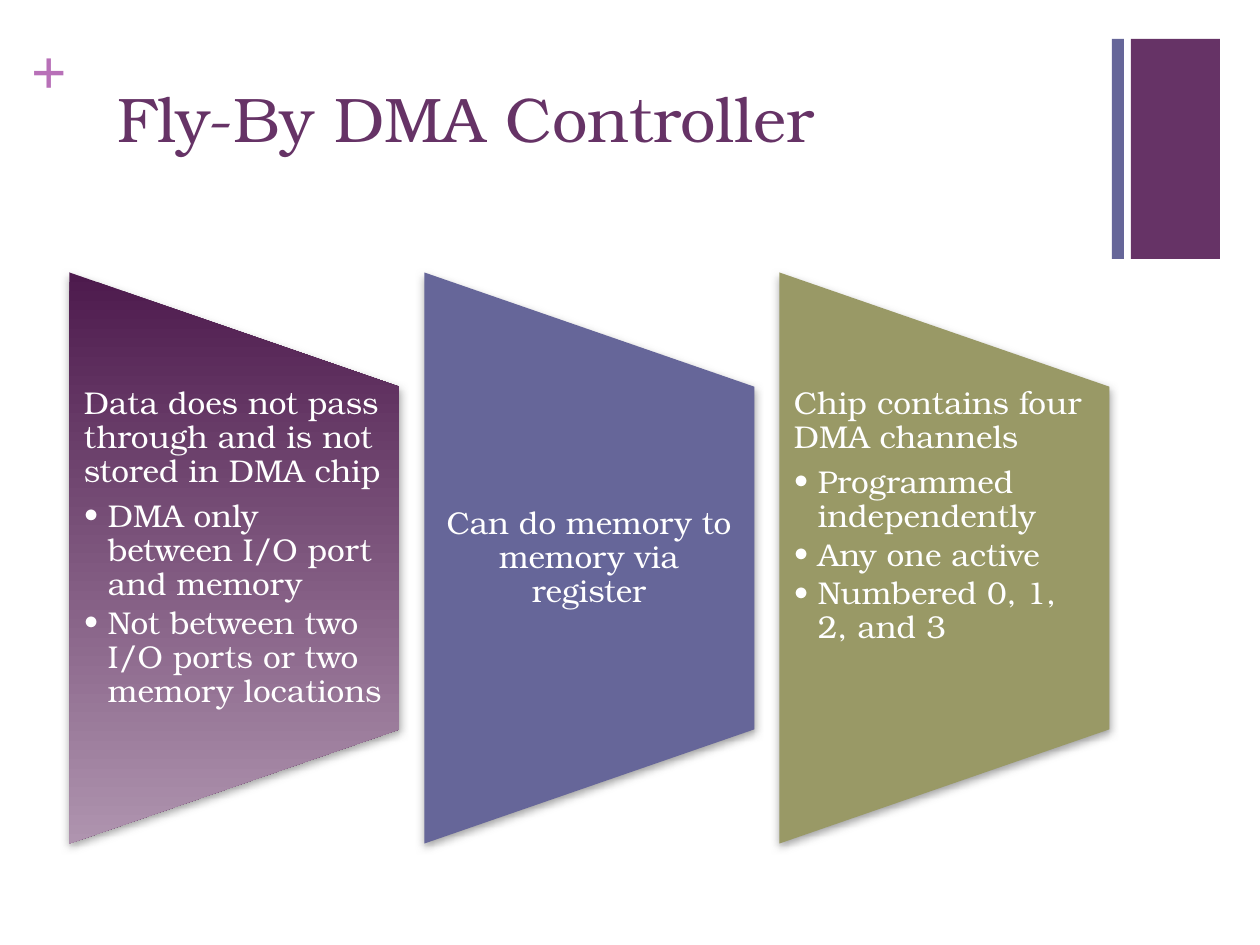
"""Build the Fly-By DMA Controller slide."""
import dataclasses

import lxml.etree
import pptx
import pptx.dml.color
import pptx.enum.shapes
import pptx.enum.text
import pptx.oxml.ns
import pptx.util

SCALE = 914400 / 126
SHAPE = pptx.enum.shapes.MSO_SHAPE
ALIGN = pptx.enum.text.PP_ALIGN
ANCHOR = pptx.enum.text.MSO_ANCHOR
qn = pptx.oxml.ns.qn


@dataclasses.dataclass(frozen=True)
class Theme:
    plum: str = "663366"
    slate: str = "666699"
    olive: str = "999966"
    orchid: str = "B870B8"
    white: str = "FFFFFF"
    shade: str = "808080"
    fade: tuple[str, str] = ("4D1A4D", "AF94AF")
    font: str = "TeX Gyre Bonum"
    serif: str = "Times New Roman"
    large: int = 36
    body: int = 18


@dataclasses.dataclass(frozen=True)
class Box:
    left: int
    top: int
    width: int
    height: int


@dataclasses.dataclass(frozen=True)
class Panel:
    fills: tuple[str, ...]
    head: str
    items: tuple[str, ...] = ()


THEME = Theme()
PANELS = (
    Panel(THEME.fade, "Data does not pass through and is not stored in DMA chip",
          ("DMA only between I/O port and memory",
           "Not between two I/O ports or two memory locations")),
    Panel((THEME.slate,), "Can do memory to memory via register"),
    Panel((THEME.olive,), "Chip contains four DMA channels",
          ("Programmed independently", "Any one active", "Numbered 0, 1, 2, and 3")),
)
FIRST = Box(69, 273, 330, 571)
PITCH = 355
INSET = 114


def px(size: float) -> pptx.util.Emu:
    """Turn pixels into EMU."""
    return pptx.util.Emu(round(size * SCALE))


def rgb(code: str) -> pptx.dml.color.RGBColor:
    """Turn a hex code into a colour."""
    return pptx.dml.color.RGBColor.from_string(code)


def place(box: Box) -> tuple[pptx.util.Emu, ...]:
    """Give the four lengths of a box in EMU."""
    return tuple(px(size) for size in dataclasses.astuple(box))


def add_shape(slide, kind, box: Box, fills: tuple[str, ...]):
    """Draw a shape with a plain fill or an upright gradient."""
    shape = slide.shapes.add_shape(kind, *place(box))
    shape.shadow.inherit = False
    shape.line.fill.background()
    if len(fills) == 1:
        shape.fill.solid()
        shape.fill.fore_color.rgb = rgb(fills[0])
        return shape
    shape.fill.gradient()
    shape.fill.gradient_angle = 270
    for stop, code, spot in zip(shape.fill.gradient_stops, fills, (0, 1)):
        stop.color.rgb = rgb(code)
        stop.position = spot
    shape._element.spPr.find(qn("a:gradFill")).set("rotWithShape", "0")
    return shape


def add_shadow(shape) -> None:
    """Give a shape a soft shadow below it."""
    effects = shape._element.spPr.find(qn("a:effectLst"))
    outer = lxml.etree.SubElement(
        effects, qn("a:outerShdw"), blurRad=str(pptx.util.Pt(5)),
        dist=str(pptx.util.Pt(2)), dir="5400000", rotWithShape="0")
    color = lxml.etree.SubElement(outer, qn("a:srgbClr"), val=THEME.shade)
    lxml.etree.SubElement(color, qn("a:alpha"), val="75000")


def add_text(slide, box: Box, lines: tuple[str, ...], font: str, size: int,
             color: str, inset: tuple[int, int], bold: bool = False):
    """Write lines into a text box and return its frame."""
    frame = slide.shapes.add_textbox(*place(box)).text_frame
    frame.word_wrap = True
    frame.margin_left = frame.margin_right = px(inset[0])
    frame.margin_top = frame.margin_bottom = px(inset[1])
    frame.text = "\n".join(lines)
    for para in frame.paragraphs:
        for run in para.runs:
            run.font.name = font
            run.font.size = pptx.util.Pt(size)
            run.font.color.rgb = rgb(color)
            run.font.bold = bold
    return frame


def add_bullet(para) -> None:
    """Set a paragraph as a hanging bullet."""
    para.level = 1
    props = para._p.get_or_add_pPr()
    props.set("marL", str(px(24)))
    props.set("indent", str(-px(24)))
    lxml.etree.SubElement(props, qn("a:buFont"), typeface=THEME.font)
    lxml.etree.SubElement(props, qn("a:buChar"), char="•")


def add_panel(slide, panel: Panel, left: int) -> None:
    """Draw a panel on its side with its text."""
    wide, tall = FIRST.width, FIRST.height
    shift = (tall - wide) // 2
    shape = add_shape(slide, SHAPE.FLOWCHART_MANUAL_OPERATION,
                      Box(left - shift, FIRST.top + shift, tall, wide), panel.fills)
    shape.rotation = 270
    add_shadow(shape)
    box = Box(left, FIRST.top + INSET, wide, tall - 2 * INSET)
    frame = add_text(slide, box, (panel.head, *panel.items), THEME.font,
                     THEME.body, THEME.white, (15, 0))
    for rank, para in enumerate(frame.paragraphs):
        para.line_spacing = 0.9
        para.space_after = pptx.util.Pt(THEME.body * (0.15 if rank else 0.35))
        if rank:
            add_bullet(para)
    if not panel.items:
        frame.vertical_anchor = ANCHOR.MIDDLE
        frame.paragraphs[0].alignment = ALIGN.CENTER


def main() -> None:
    """Build and save the slide."""
    deck = pptx.Presentation()
    deck.slide_width, deck.slide_height = px(1260), px(945)
    slide = deck.slides.add_slide(deck.slide_layouts[6])
    add_shape(slide, SHAPE.RECTANGLE, Box(1131, 39, 89, 220), (THEME.plum,))
    add_shape(slide, SHAPE.RECTANGLE, Box(1112, 39, 12, 220), (THEME.slate,))
    add_text(slide, Box(31, 32, 37, 77), ("+",), THEME.serif, THEME.large,
             THEME.orchid, (0, 0), bold=True)
    add_text(slide, Box(104, 74, 1041, 154), ("Fly-By DMA Controller",),
             THEME.font, THEME.large, THEME.plum, (13, 6))
    for rank, panel in enumerate(PANELS):
        add_panel(slide, panel, FIRST.left + rank * PITCH)
    deck.save("out.pptx")


if __name__ == "__main__":
    main()
